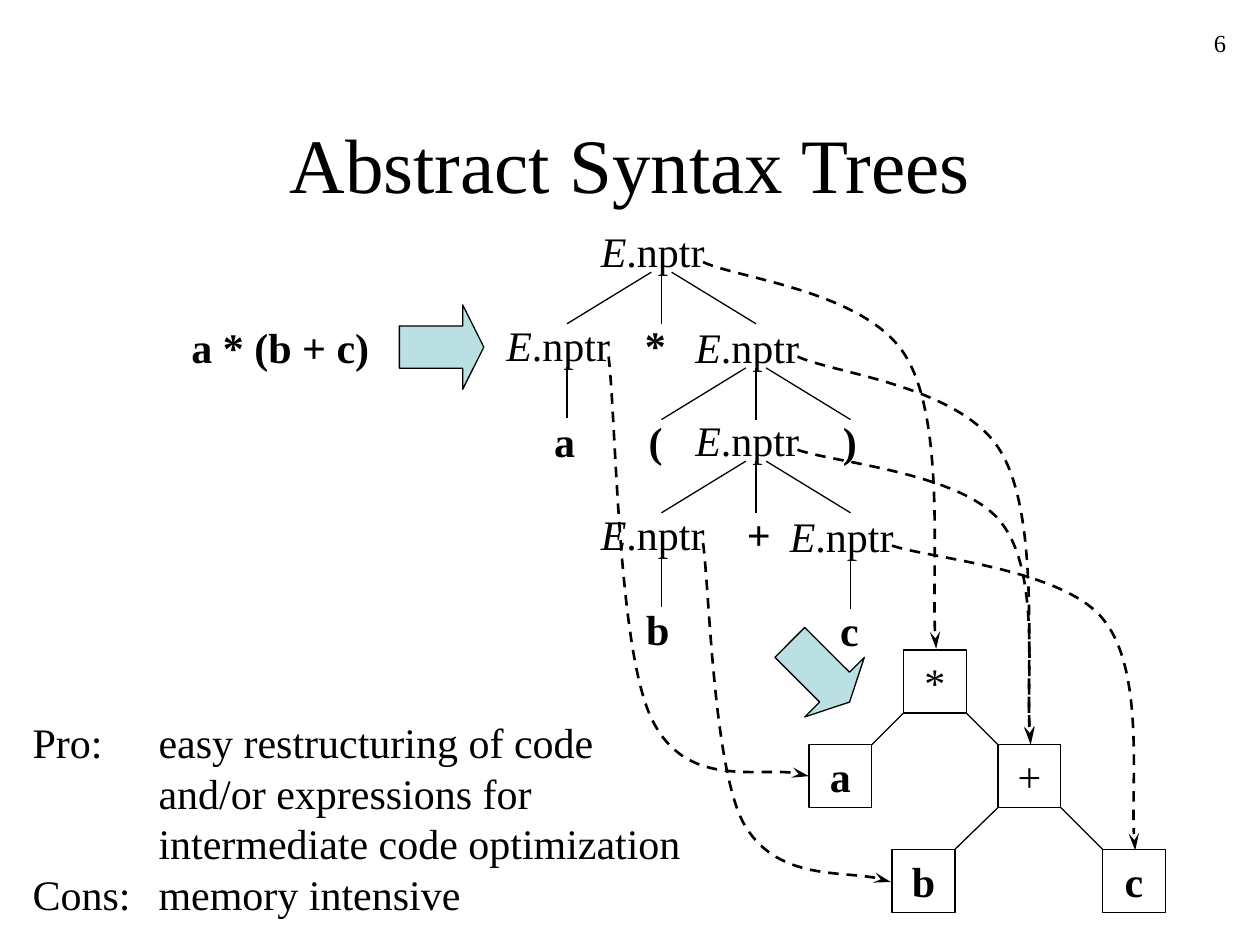
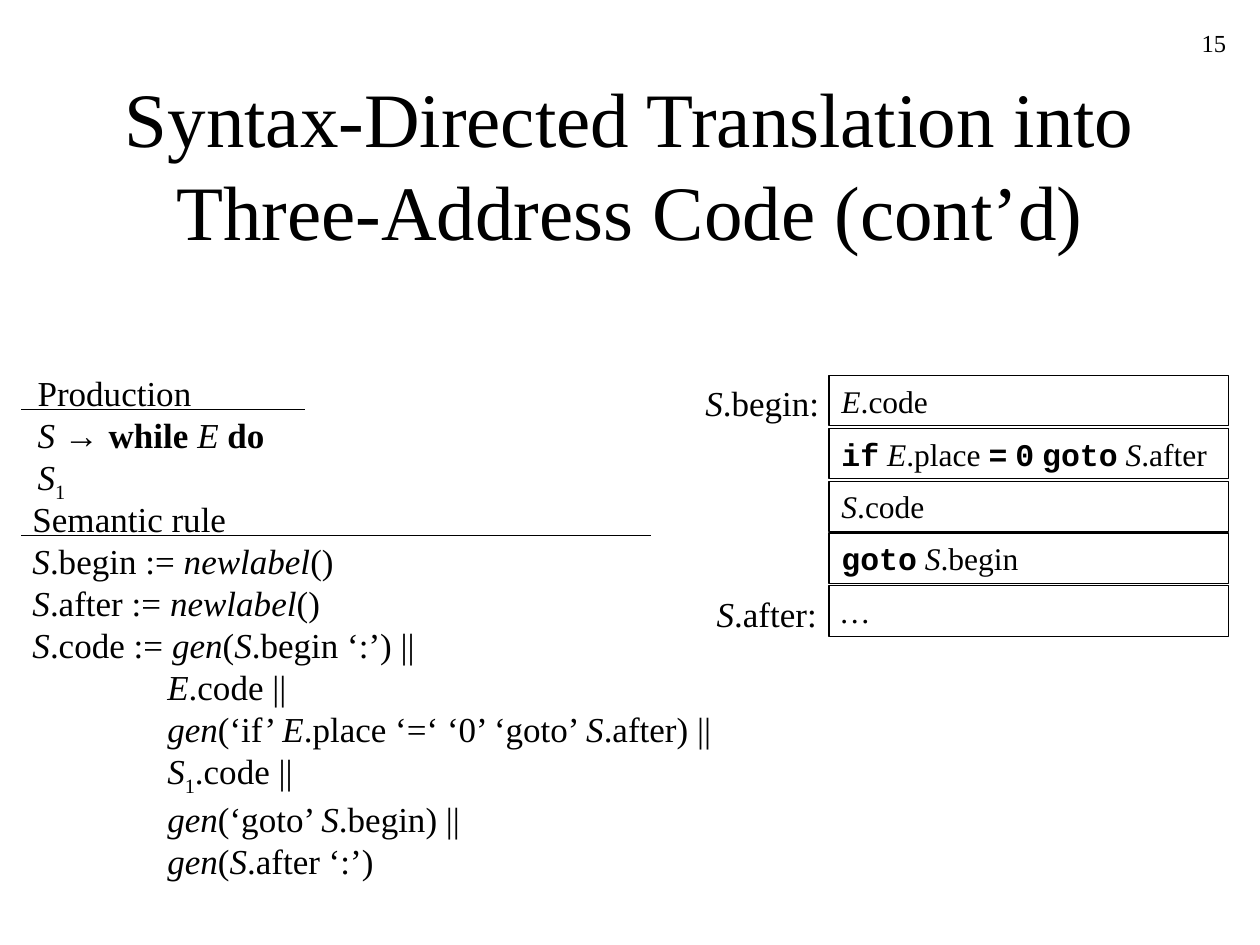
import pptx
import pptx.util
import pptx.dml.color
import pptx.enum.dml
import pptx.enum.shapes
import pptx.enum.text
import pptx.oxml
import pptx.oxml.ns
from lxml import etree

PX = 9144  # 100 px to the inch
BLACK = pptx.dml.color.RGBColor(0x00, 0x00, 0x00)
AQUA = pptx.dml.color.RGBColor(0xBB, 0xE0, 0xE3)
SERIF = "Times New Roman"
ALIGN = pptx.enum.text.PP_ALIGN
ANCHOR = pptx.enum.text.MSO_ANCHOR
FIT = pptx.enum.text.MSO_AUTO_SIZE
SHAPE = pptx.enum.shapes.MSO_SHAPE
qn = pptx.oxml.ns.qn

# Marks that switch a format on and off inside a text
MARKS = {
    "": {},
    "~": {"italic": True},
    "#": {"bold": True},
    "$": {"bold": True, "name": "Courier New"},
    "%": {"name": "Arial"},
    "^": {},
}


def write(frame, size, texts, align=ALIGN.LEFT):
    """Fill a frame, one paragraph per text, reading the format marks."""
    for i, text in enumerate(texts):
        para = frame.paragraphs[0] if i == 0 else frame.add_paragraph()
        para.alignment = align
        if "\t" in text:
            tabs = etree.SubElement(para._p.get_or_add_pPr(), qn("a:tabLst"))
            etree.SubElement(tabs, qn("a:tab"), pos=str(100 * PX), algn="l")
        mark, run = "", None
        for char in text:
            if char in MARKS:
                mark, run = "" if mark else char, None
            elif char == "\n":
                para.add_line_break()
                run = None
            elif run is not None:
                run.text += char
            else:
                run = para.add_run()
                run.text = char
                style = {"name": SERIF, "size": pptx.util.Pt(size), **MARKS[mark]}
                for key, value in style.items():
                    setattr(run.font, key, value)
                run.font.color.rgb = BLACK
                if mark == "^":
                    run._r.get_or_add_rPr().set("baseline", "-25000")


def ink(shape, width=0.75):
    shape.line.color.rgb = BLACK
    shape.line.width = pptx.util.Pt(width)


# Syntax tree: centre, top of branches, sides that have a branch
NODES = [
    (525, 216, (-1, 0, 1)),
    (450, 291, (0,)),
    (600, 292, (-1, 0, 1)),
    (600, 366, (-1, 0, 1)),
    (525, 441, (0,)),
    (675, 442, (0,)),
]
# Labels: left, top, width, height, size, wrap, paragraphs
tree = [
    (502, 249, 36, 50, 24, False, ["#*#"]),
    (430, 325, 36, 50, 24, False, ["#a#"]),
    (505, 325, 31, 50, 24, False, ["#(#"]),
    (659, 325, 31, 50, 24, False, ["#)#"]),
    (583, 399, 39, 50, 24, False, ["#+#"]),
    (503, 474, 38, 50, 24, False, ["#b#"]),
    (657, 475, 35, 50, 24, False, ["#c#"]),
    (142, 250, 161, 50, 24, False, ["#a * (b + c)#"]),
    (16, 564, 535, 170, 24, False, [
        "Pro:\teasy restructuring of code\n\tand/or expressions for\n"
        "\tintermediate code optimization",
        "Cons:\tmemory intensive",
    ]),
]
# Lines: from x, y to x, y
edges = [
    (717, 566, 692, 591),
    (767, 566, 792, 591),
    (792, 641, 758, 674),
    (842, 641, 875, 674),
]
for x, y, sides in NODES:
    tree.append((x - 58, y - 42, 108, 50, 24, False, ["~E~.nptr"]))
    edges += [(x + 8 * side, y, x + 75 * side, y + 41) for side in sides]

# Boxes: left, top, width, height, size, alignment, text
boxes = [
    (x, y, 50, 50, 24, ALIGN.CENTER, text)
    for x, y, text in [
        (717, 516, "*"), (642, 591, "#a#"), (792, 591, "+"),
        (708, 674, "#b#"), (875, 674, "#c#"),
    ]
]

rules = [
    (20, 290, 223, 82, 20, True,
     ["Production\n~S ~%→ %#while #~E ~#do #~S~^1^"]),
    (16, 390, 563, 315, 20, False, [
        "Semantic rule\n~S~.begin := ~newlabel~()\n~S~.after := ~newlabel~()",
        "~S~.code := ~gen~(~S~.begin ‘:’) ||\n"
        "\t ~E~.code ||\n"
        "\t ~gen~(‘if’ ~E~.place ‘=‘ ‘0’ ‘goto’ ~S~.after) ||\n"
        "\t ~S~^1^.code ||\n"
        "\t ~gen~(‘goto’ ~S~.begin) ||\n"
        "\t ~gen~(~S~.after ‘:’)",
    ]),
    (550, 298, 116, 44, 20, False, ["~S~.begin:"]),
    (559, 465, 106, 44, 20, False, ["~S~.after:"]),
]
code = [
    (658, round(298 + 41.75 * i), 317, 40, 18, ALIGN.LEFT, text)
    for i, text in enumerate([
        "~E~.code",
        "$if$~ E~.place $=$ $0$ $goto$~ S~.after",
        "~S~.code",
        "$goto$~ S~.begin",
        "~…~",
    ])
]
bars = [(17, 325, 242, 325), (17, 425, 517, 425)]

PAGES = [
    ("6", "Abstract Syntax Trees", tree, boxes, edges),
    ("15", "Syntax-Directed Translation into Three-Address Code (cont’d)",
     rules, code, bars),
]

deck = pptx.Presentation()
deck.slide_width = 1000 * PX
deck.slide_height = 750 * PX

for number, title, labels, cells, lines in PAGES:
    slide = deck.slides.add_slide(deck.slide_layouts[5])
    head = slide.shapes.title
    place = {"left": 75, "top": 67, "width": 850, "height": 125}
    for key, value in place.items():
        setattr(head, key, value * PX)
    head.text_frame.auto_size = FIT.NONE
    head.text_frame.vertical_anchor = ANCHOR.MIDDLE
    write(head.text_frame, 44, [title], ALIGN.CENTER)

    page = slide.shapes.add_textbox(775 * PX, 17 * PX, 208 * PX, 50 * PX)
    page.text_frame.word_wrap = True
    write(page.text_frame, 14, [number], ALIGN.RIGHT)

    for x, y, w, h, size, wrap, texts in labels:
        label = slide.shapes.add_textbox(x * PX, y * PX, w * PX, h * PX)
        label.text_frame.word_wrap = wrap
        label.text_frame.auto_size = FIT.SHAPE_TO_FIT_TEXT
        write(label.text_frame, size, texts)

    for x, y, w, h, size, align, text in cells:
        cell = slide.shapes.add_shape(
            SHAPE.RECTANGLE, x * PX, y * PX, w * PX, h * PX)
        cell.shadow.inherit = False
        cell.fill.background()
        ink(cell)
        cell.text_frame.word_wrap = True
        cell.text_frame.vertical_anchor = ANCHOR.TOP
        write(cell.text_frame, size, [text], align)

    for ends in lines:
        line = slide.shapes.add_connector(
            pptx.enum.shapes.MSO_CONNECTOR.STRAIGHT, *[n * PX for n in ends])
        ink(line)
        etree.SubElement(line._element.spPr, qn("a:effectLst"))

# Dashed pointers from the syntax tree to the abstract tree: a start and
# two cubic curves of three points each
CURVES = [
    [(558, 208), (585, 221), (688, 231), (719, 283),
     (750, 334), (738, 467), (743, 515)],
    [(558, 431), (563, 468), (566, 608), (590, 653),
     (615, 698), (683, 690), (707, 700)],
    [(483, 283), (489, 331), (490, 514), (517, 570),
     (543, 625), (616, 606), (642, 616)],
    [(633, 357), (660, 367), (763, 375), (794, 414),
     (825, 452), (813, 554), (818, 590)],
    [(708, 433), (736, 443), (844, 451), (876, 492),
     (908, 532), (896, 637), (901, 675)],
    [(633, 283), (660, 296), (763, 306), (794, 358),
     (825, 409), (813, 543), (818, 591)],
]
first = deck.slides[0]
for start, *rest in CURVES:
    build = first.shapes.build_freeform(*start, scale=PX)
    build.add_line_segments(rest, close=False)
    curve = build.convert_to_shape()
    curve.shadow.inherit = False
    curve.fill.background()
    ink(curve, 1.5)
    curve.line.dash_style = pptx.enum.dml.MSO_LINE.DASH
    etree.SubElement(curve.line._get_or_add_ln(), qn("a:tailEnd"),
                     type="stealth", w="med", len="lg")
    route = curve._element.find(".//" + qn("a:path"))
    steps = route.findall(qn("a:lnTo"))
    for i in range(0, len(steps), 3):
        bend = etree.SubElement(route, qn("a:cubicBezTo"))
        for step in steps[i:i + 3]:
            bend.append(step[0])
            route.remove(step)

for x, y, turn in [(317, 242, 0), (617, 500, 45)]:
    arrow = first.shapes.add_shape(
        SHAPE.RIGHT_ARROW, x * PX, y * PX, 67 * PX, 67 * PX)
    arrow.adjustments[0] = 0.5
    arrow.adjustments[1] = 0.25
    arrow.rotation = turn
    arrow.shadow.inherit = False
    arrow.fill.solid()
    arrow.fill.fore_color.rgb = AQUA
    ink(arrow)

deck.save("out.pptx")
